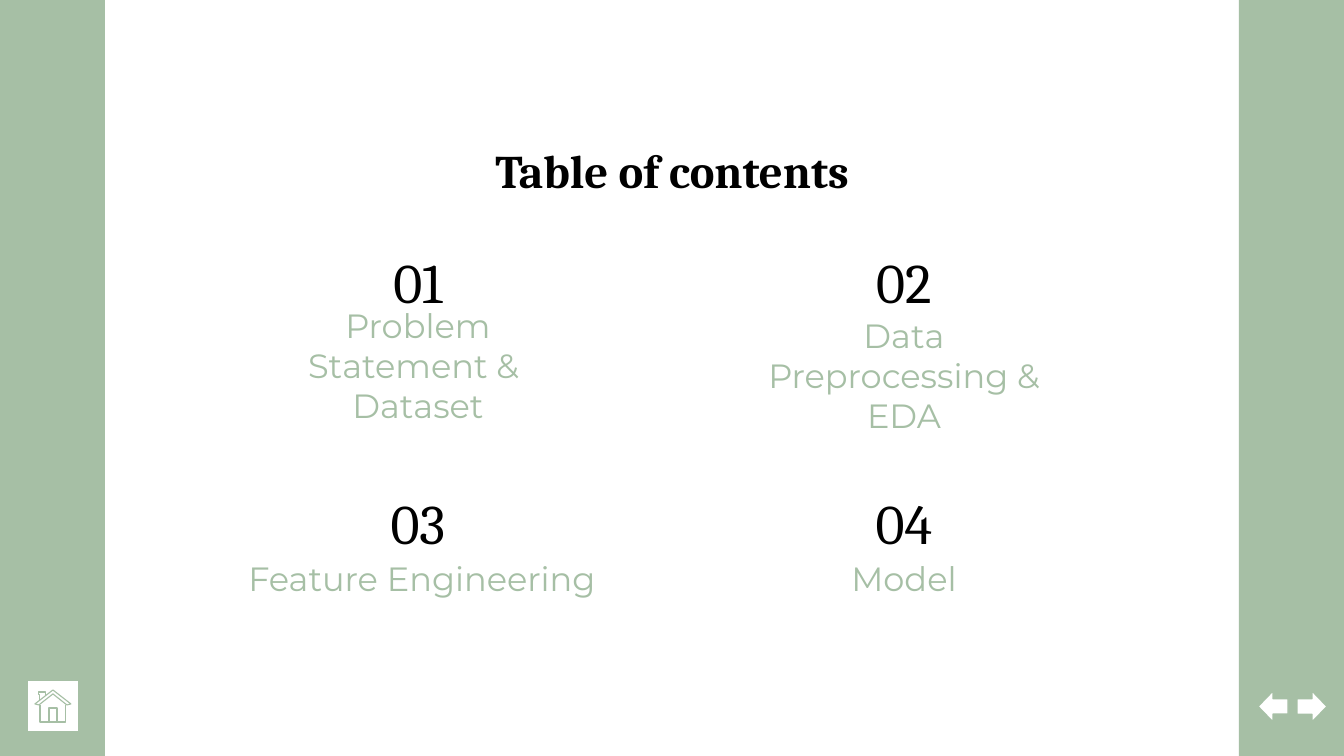
from pptx import Presentation
from pptx import util as u
from pptx.dml.color import RGBColor
from pptx.enum import shapes, text

PX = 914400 / 134.4
WIDE, HIGH, BAR = 1344, 756, 105
SAGE = RGBColor(0xA6, 0xBF, 0xA5)
WHITE = RGBColor(0xFF, 0xFF, 0xFF)
BLACK = RGBColor(0, 0, 0)
SHAPE = shapes.MSO_SHAPE
ANCHOR = text.MSO_ANCHOR

TOPICS = [
    ("01", "Problem Statement & \nDataset", (246, 239), (0, 131, 344)),
    ("02", "Data Preprocessing & EDA", (732, 239), (0, 141, 344)),
    ("03", "Feature Engineering", (226, 480), (0, 63, 392)),
    ("04", "Model", (732, 480), (0, 63, 344)),
]
HOUSE = [
    ([(8, 24), (26, 10), (44, 24), (40, 25), (26, 14), (12, 25)], True),
    ([(13, 25), (13, 42), (39, 42), (39, 25)], False),
    ([(22, 42), (22, 28), (30, 28), (30, 42)], False),
    ([(13, 20), (13, 15), (12, 15), (12, 12), (19, 12), (19, 15)], False),
]


def emu(*sizes):
    """Turn px lengths into EMU."""
    return [u.Emu(round(size * PX)) for size in sizes]


def write(slide, words, box, size, font, color, bold=False, anchor=ANCHOR.BOTTOM):
    """Add a centred text box, one paragraph for each line of words."""
    frame = slide.shapes.add_textbox(*emu(*box)).text_frame
    frame.word_wrap = True
    frame.vertical_anchor = anchor
    frame.margin_left = frame.margin_right = u.Inches(0.1)
    frame.margin_top = frame.margin_bottom = u.Inches(0.1)
    frame.text = words
    for para in frame.paragraphs:
        para.alignment = text.PP_ALIGN.CENTER
        para.font.size = u.Pt(size)
        para.font.name = font
        para.font.bold = bold
        para.font.color.rgb = color


def draw(slide, kind, box, fill, line=None):
    """Add a preset shape with a flat fill and an optional thin line."""
    shape = slide.shapes.add_shape(kind, *emu(*box))
    shape.shadow.inherit = False
    shape.fill.solid()
    shape.fill.fore_color.rgb = fill
    if line is None:
        shape.line.fill.background()
    else:
        shape.line.color.rgb = line
        shape.line.width = u.Pt(0.75)
    return shape


def topic(slide, number, label, spot, place):
    """Place a number and its label relative to the topic's corner."""
    left, top = spot
    shift, drop, width = place
    middle = {"01": 341, "03": 341}.get(number, 486 + 332)
    center = 418 if middle == 341 else 904
    write(slide, number, (center - 77, top, 154, 89), 30, "Cambria", BLACK)
    write(slide, label, (left + shift, top + drop, width, 69),
          18, "Montserrat", SAGE)


def home(slide, box):
    """Draw the home button with a line house inside the box."""
    draw(slide, SHAPE.RECTANGLE, box, WHITE, SAGE)
    for points, close in HOUSE:
        spots = [(box[0] + x, box[1] + y) for x, y in points]
        pen = slide.shapes.build_freeform(*spots[0], scale=PX)
        pen.add_line_segments(spots[1:], close=close)
        part = pen.convert_to_shape()
        part.shadow.inherit = False
        part.fill.background()
        part.line.color.rgb = SAGE
        part.line.width = u.Pt(0.6)


def arrows(slide, box):
    """Draw the back and forward arrows at both ends of the box."""
    left, top, width, height = box
    size = 30
    for x, turn in ((left, 0), (left + width - size, 180)):
        arrow = draw(slide, SHAPE.LEFT_ARROW, (x, top, size, height), WHITE, SAGE)
        arrow.rotation = turn


def contents(slide):
    """Build the table of contents slide."""
    for left in (0, WIDE - BAR):
        draw(slide, SHAPE.RECTANGLE, (left, 0, BAR, HIGH), SAGE)
    for number, label, spot, place in TOPICS:
        topic(slide, number, label, spot, place)
    write(slide, "Table of contents", (BAR, 128, WIDE - 2 * BAR, 80),
          25, "Cambria", BLACK, bold=True, anchor=ANCHOR.TOP)
    arrows(slide, (1258, 691, 69, 31))
    home(slide, (27, 680, 52, 52))


def main():
    """Make the deck and save it."""
    deck = Presentation()
    deck.slide_width, deck.slide_height = emu(WIDE, HIGH)
    contents(deck.slides.add_slide(deck.slide_layouts[6]))
    deck.save("out.pptx")


if __name__ == "__main__":
    main()
